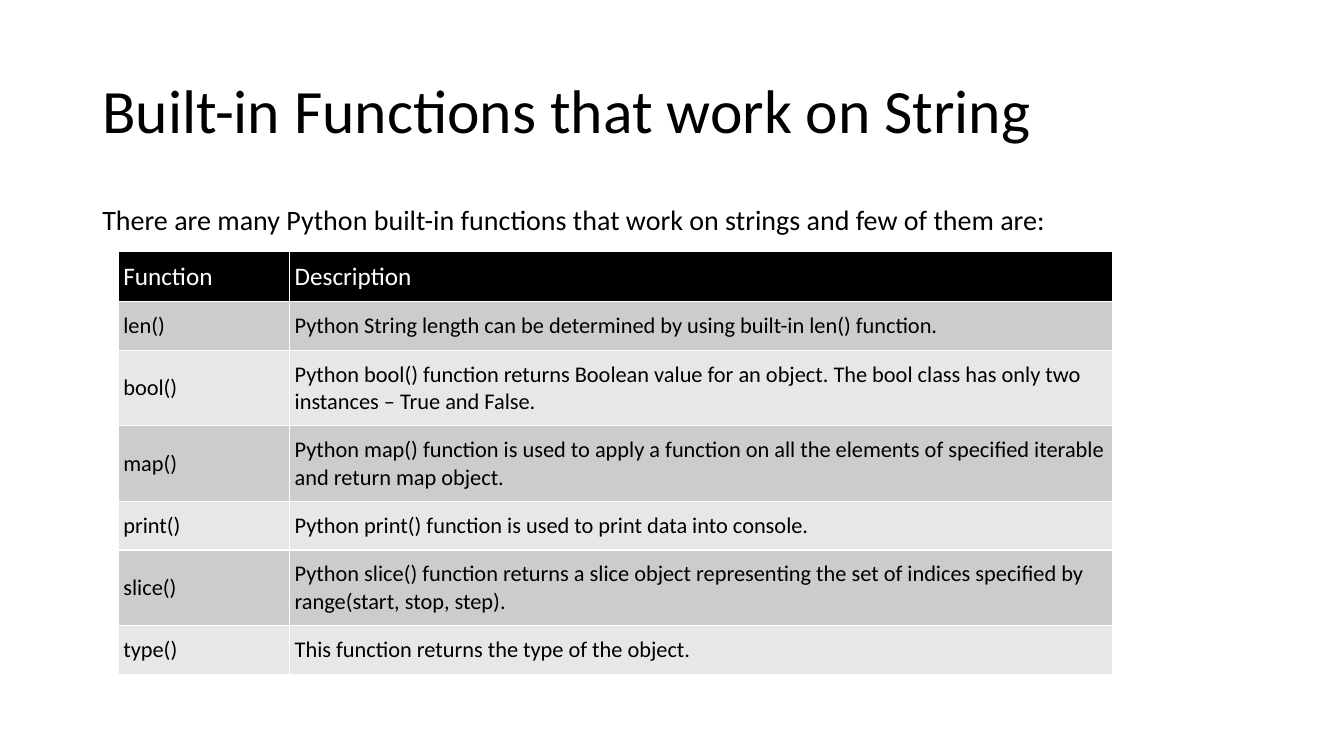
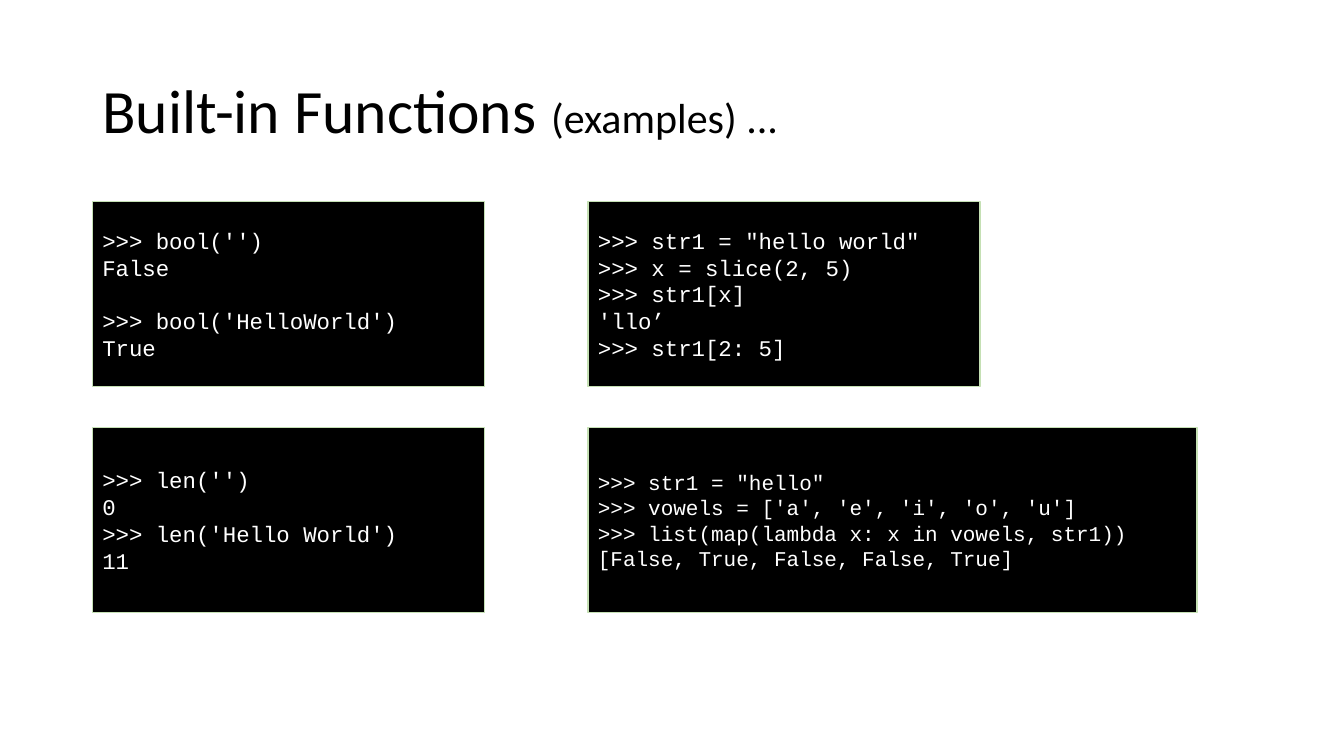
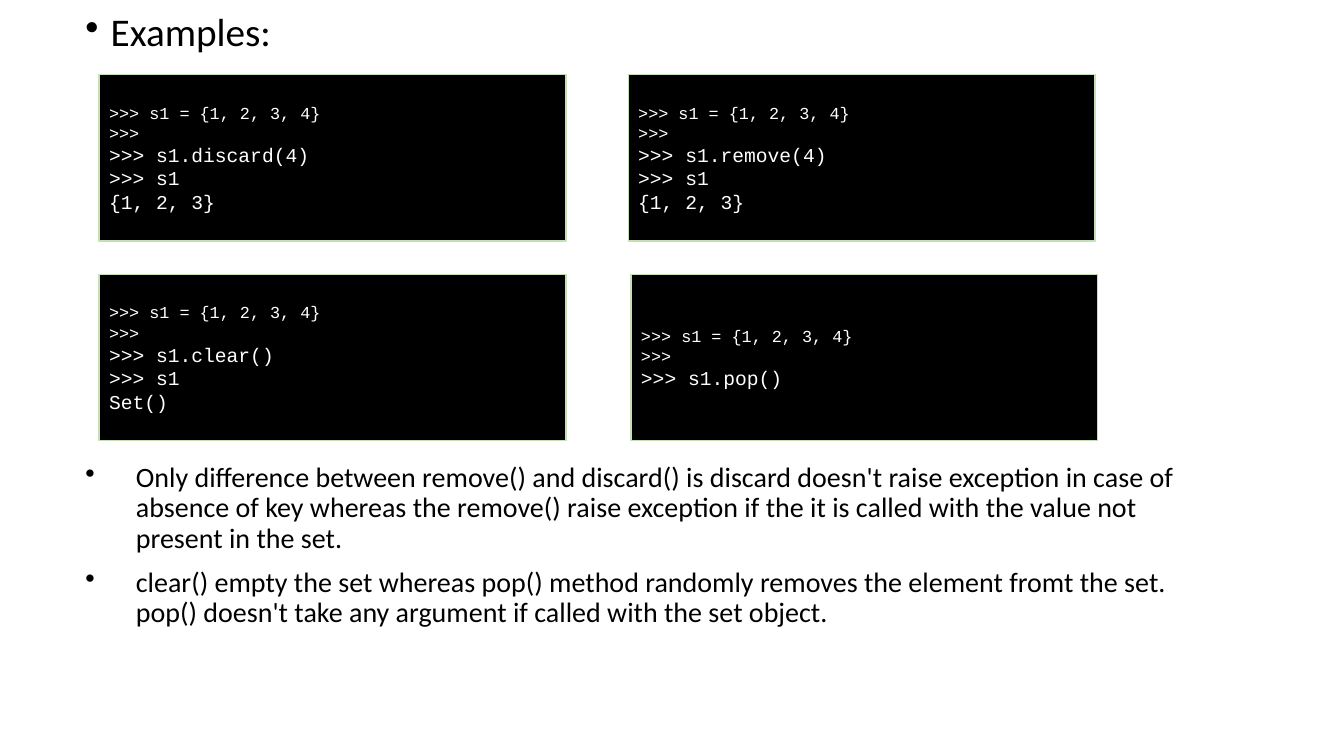
import pptx
import pptx.util
import pptx.dml.color
import pptx.enum.shapes
import pptx.enum.text
import pptx.oxml.ns
from lxml import etree

Pt = pptx.util.Pt
MID = pptx.enum.text.MSO_ANCHOR.MIDDLE
TOP = pptx.enum.text.MSO_ANCHOR.TOP

THEME = {
    "ink": "000000", "paper": "FFFFFF", "edge": "C5E0B4",
    "bands": ("CCCCCC", "E7E7E7"),
    "sans": "Calibri", "mono": "Courier New",
    "title": 44, "sub": 30, "lead": 28, "body": 20,
    "head": 18, "cell": 16, "code": 16, "tight": 15, "step": 14, "setup": 12,
}

# Content: a paragraph is a string, a list of runs, or a dict with its own format
TITLES = [
    "Built-in Functions that work on String",
    ["Built-in Functions ", ("(examples) ...", {"size": THEME["sub"]})],
]
INTRO = "There are many Python built-in functions that work on strings and few of them are:"
ROWS = [
    ("Function", "Description"),
    ("len()", "Python String length can be determined by using built-in len() function."),
    ("bool()", "Python bool() function returns Boolean value for an object. "
               "The bool class has only two instances – True and False."),
    ("map()", "Python map() function is used to apply a function on all the elements "
              "of specified iterable and return map object."),
    ("print()", "Python print() function is used to print data into console."),
    ("slice()", "Python slice() function returns a slice object representing the set "
                "of indices specified by range(start, stop, step)."),
    ("type()", "This function returns the type of the object."),
]
PROMPT = (">>> ", {"italic": True})
BOOL = [[PROMPT, "bool('')"], "False",
        {"runs": [PROMPT, "bool('HelloWorld')"], "before": 19}, "True"]
LEN = [[PROMPT, "len('')"], "0", [PROMPT, "len('Hello World')"], "11"]
SLICE = ['>>> str1 = "hello world"', ">>> x = slice(2, 5)", ">>> str1[x]",
         "'llo’", ">>> str1[2: 5]"]
MAP = ['>>> str1 = "hello"', ">>> vowels = ['a', 'e', 'i', 'o', 'u']",
       ">>> list(map(lambda x: x in vowels, str1)) [False, True, False, False, True]"]
SETUP = [">>> s1 = {1, 2, 3, 4}", ">>>"]
STEPS = [
    [">>> s1.discard(4)", ">>> s1", "{1, 2, 3}"],
    [">>> s1.remove(4)", ">>> s1", "{1, 2, 3}"],
    [">>> s1.clear()", ">>> s1", "Set()"],
    [">>> s1.pop()"],
]
NOTES = [
    "Only difference between remove() and discard() is discard doesn't raise exception "
    "in case of absence of key whereas the remove() raise exception if the it is called "
    "with the value not present in the set.",
    "clear() empty the set whereas pop() method randomly removes the element fromt the set. "
    "pop() doesn't take any argument if called with the set object.",
]


def rgb(code):
    return pptx.dml.color.RGBColor.from_string(code)


def write(frame, paras, size, font=THEME["sans"], color=THEME["ink"],
          anchor=TOP, lines=None, before=0, indent=0):
    """Fill a text frame with paragraphs; indent adds a hanging bullet."""
    frame.word_wrap = True
    frame.vertical_anchor = anchor
    for i, item in enumerate(paras):
        para = frame.paragraphs[0] if i == 0 else frame.add_paragraph()
        part = item if isinstance(item, dict) else {"runs": item}
        runs = [part["runs"]] if isinstance(part["runs"], str) else part["runs"]
        para.alignment = pptx.enum.text.PP_ALIGN.LEFT
        if lines:
            para.line_spacing = lines
        para.space_before = Pt(part.get("before", before) if i else 0)
        if indent:
            props = para._p.get_or_add_pPr()
            props.set("marL", str(Pt(indent)))
            props.set("indent", str(-Pt(indent)))
            etree.SubElement(props, pptx.oxml.ns.qn("a:buChar")).set("char", "•")
        for piece in runs:
            words, own = (piece, {}) if isinstance(piece, str) else piece
            run = para.add_run()
            run.text = words
            run.font.name = font
            run.font.size = Pt(own.get("size", part.get("size", size)))
            run.font.italic = own.get("italic", False)
            run.font.color.rgb = rgb(color)


def label(slide, area, paras, size, **form):
    box = slide.shapes.add_textbox(*map(Pt, area))
    write(box.text_frame, paras, size, lines=0.9, before=10, **form)


def title(slide, words):
    label(slide, (66, 28.8, 828, 104.4), [words], THEME["title"], anchor=MID)


def code(slide, area, paras, size=THEME["code"]):
    """Draw a black console panel."""
    box = slide.shapes.add_shape(pptx.enum.shapes.MSO_SHAPE.RECTANGLE, *map(Pt, area))
    box.shadow.inherit = False
    box.fill.solid()
    box.fill.fore_color.rgb = rgb(THEME["ink"])
    box.line.color.rgb = rgb(THEME["edge"])
    box.line.width = Pt(1)
    write(box.text_frame, paras, size, font=THEME["mono"], color=THEME["paper"], anchor=MID)


def border(cell):
    props = cell._tc.get_or_add_tcPr()
    for i, side in enumerate(("lnL", "lnR", "lnT", "lnB")):
        line = etree.Element(pptx.oxml.ns.qn("a:" + side), w=str(Pt(1)))
        fill = etree.SubElement(line, pptx.oxml.ns.qn("a:solidFill"))
        etree.SubElement(fill, pptx.oxml.ns.qn("a:srgbClr"), val=THEME["paper"])
        props.insert(i, line)


def table(slide, left, top, cols, rows):
    tall = [36] + [54 if len(row[1]) > 90 else 34.7 for row in rows[1:]]
    grid = slide.shapes.add_table(len(rows), len(cols), Pt(left), Pt(top),
                                  Pt(sum(cols)), Pt(sum(tall))).table
    grid.first_row = grid.horz_banding = False
    for col, wide in zip(grid.columns, cols):
        col.width = Pt(wide)
    for r, row in enumerate(rows):
        grid.rows[r].height = Pt(tall[r])
        back = THEME["bands"][(r - 1) % 2] if r else THEME["ink"]
        for c, words in enumerate(row):
            cell = grid.cell(r, c)
            cell.margin_left = cell.margin_right = Pt(3.6)
            cell.margin_top = cell.margin_bottom = Pt(7.2)
            cell.fill.solid()
            cell.fill.fore_color.rgb = rgb(back)
            border(cell)
            write(cell.text_frame, [words], THEME["cell" if r else "head"],
                  color=THEME["ink" if r else "paper"])
            cell.vertical_anchor = MID


def main():
    deck = pptx.Presentation()
    deck.slide_width, deck.slide_height = Pt(960), Pt(540)
    first, second, third = [deck.slides.add_slide(deck.slide_layouts[6]) for _ in range(3)]

    # Function table
    title(first, TITLES[0])
    label(first, (66, 144, 828, 34), [INTRO], THEME["body"])
    table(first, 84.5, 179.5, (122.4, 587.5), ROWS)

    # String examples
    title(second, TITLES[1])
    left, right, upper, lower, wide, high = 66, 420, 144, 305.5, 280, 132
    code(second, (left, upper, wide, high), BOOL)
    code(second, (left, lower, wide, high), LEN)
    code(second, (right, upper, wide, high), SLICE)
    code(second, (right, lower, 435, high), MAP, THEME["tight"])

    # Set examples
    label(third, (54, 5.8, 828, 44), ["Examples:"], THEME["lead"], indent=18)
    start = [{"runs": line, "size": THEME["setup"]} for line in SETUP]
    for i, steps in enumerate(STEPS):
        row, col = divmod(i, 2)
        area = (70.8 + col * (378 + 2 * row), 53.3 + row * 142.7, 333.4, 118.8)
        code(third, area, start + steps, THEME["step"])
    label(third, (54, 327.5, 828, 130), NOTES, THEME["body"], indent=36)

    deck.save("out.pptx")


if __name__ == "__main__":
    main()
